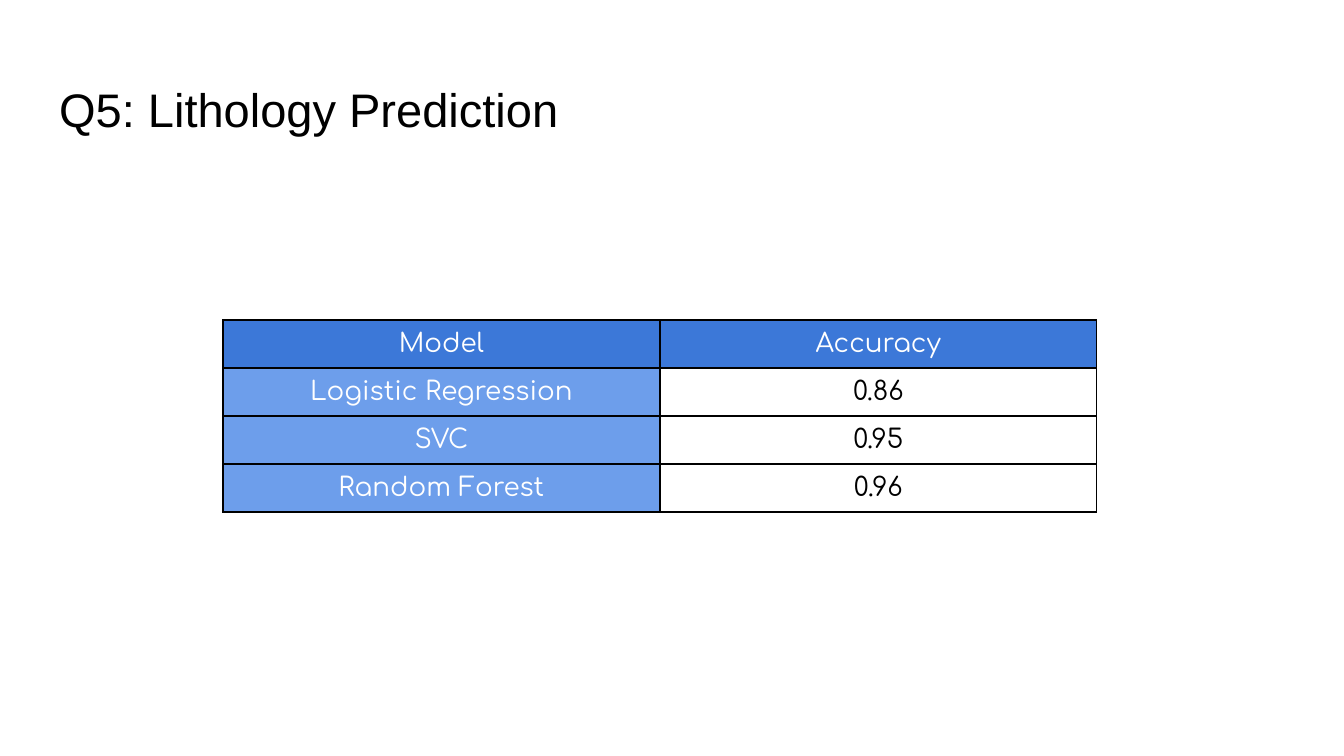
import dataclasses

import lxml.etree
import pptx
import pptx.dml.color
import pptx.enum.text
import pptx.oxml.ns
import pptx.util

Pt = pptx.util.Pt
ALIGN = pptx.enum.text.PP_ALIGN
ANCHOR = pptx.enum.text.MSO_ANCHOR

COLORS = {
    "black": "000000",
    "white": "FFFFFF",
    "header": "3C78D8",
    "model": "6D9EEB",
}
LEFT, TOP = 119.5, 171.5
COL_WIDTH, ROW_HEIGHT = 234, 25.7
CELL_INSET = 5


@dataclasses.dataclass
class Result:
    model: str
    accuracy: str


RESULTS = [
    Result("Logistic Regression", "0.86"),
    Result("SVC", "0.95"),
    Result("Random Forest", "0.96"),
]


def rgb(name: str) -> pptx.dml.color.RGBColor:
    return pptx.dml.color.RGBColor.from_string(COLORS[name])


def write(tf, text: str, *, font: str, size: float, color: str, align) -> None:
    p = tf.paragraphs[0]
    p.alignment = align
    r = p.add_run()
    r.text = text
    r.font.name = font
    r.font.size = Pt(size)
    r.font.bold = False
    r.font.color.rgb = rgb(color)


def add_borders(cell, color: str, width: float) -> None:
    tc_pr = cell._tc.get_or_add_tcPr()
    qn = pptx.oxml.ns.qn
    for i, side in enumerate(("lnL", "lnR", "lnT", "lnB")):
        ln = lxml.etree.Element(qn(f"a:{side}"), w=str(Pt(width)))
        fill = lxml.etree.SubElement(ln, qn("a:solidFill"))
        lxml.etree.SubElement(fill, qn("a:srgbClr"), val=COLORS[color])
        tc_pr.insert(i, ln)


def draw_cell(cell, text: str, fill: str, color: str) -> None:
    cell.margin_left = cell.margin_right = Pt(CELL_INSET)
    cell.margin_top = cell.margin_bottom = Pt(CELL_INSET)
    cell.vertical_anchor = ANCHOR.MIDDLE
    cell.fill.solid()
    cell.fill.fore_color.rgb = rgb(fill)
    write(cell.text_frame, text, font="Comfortaa", size=14, color=color,
          align=ALIGN.CENTER)
    add_borders(cell, "black", 1)


def draw_title(s, text: str) -> None:
    sp = s.shapes.title
    sp.left, sp.top, sp.width, sp.height = Pt(24.5), Pt(35), Pt(671), Pt(45.5)
    tf = sp.text_frame
    tf.margin_left = tf.margin_right = tf.margin_top = tf.margin_bottom = Pt(7.2)
    tf.word_wrap = True
    tf.auto_size = pptx.enum.text.MSO_AUTO_SIZE.NONE
    tf.vertical_anchor = ANCHOR.BOTTOM
    write(tf, text, font="Arial", size=25.2, color="black", align=ALIGN.LEFT)


def draw_results(s, results: list[Result]) -> None:
    rows = len(results) + 1
    table = s.shapes.add_table(rows, 2, Pt(LEFT), Pt(TOP), Pt(2 * COL_WIDTH),
                               Pt(rows * ROW_HEIGHT)).table
    for col, heading in enumerate(("Model", "Accuracy")):
        draw_cell(table.cell(0, col), heading, "header", "white")
    for row, result in enumerate(results, 1):
        draw_cell(table.cell(row, 0), result.model, "model", "white")
        draw_cell(table.cell(row, 1), result.accuracy, "white", "black")


def main() -> None:
    prs = pptx.Presentation()
    prs.slide_width, prs.slide_height = Pt(720), Pt(405)
    s = prs.slides.add_slide(prs.slide_layouts[5])
    draw_title(s, "Q5: Lithology Prediction")
    draw_results(s, RESULTS)
    prs.save("out.pptx")


if __name__ == "__main__":
    main()
